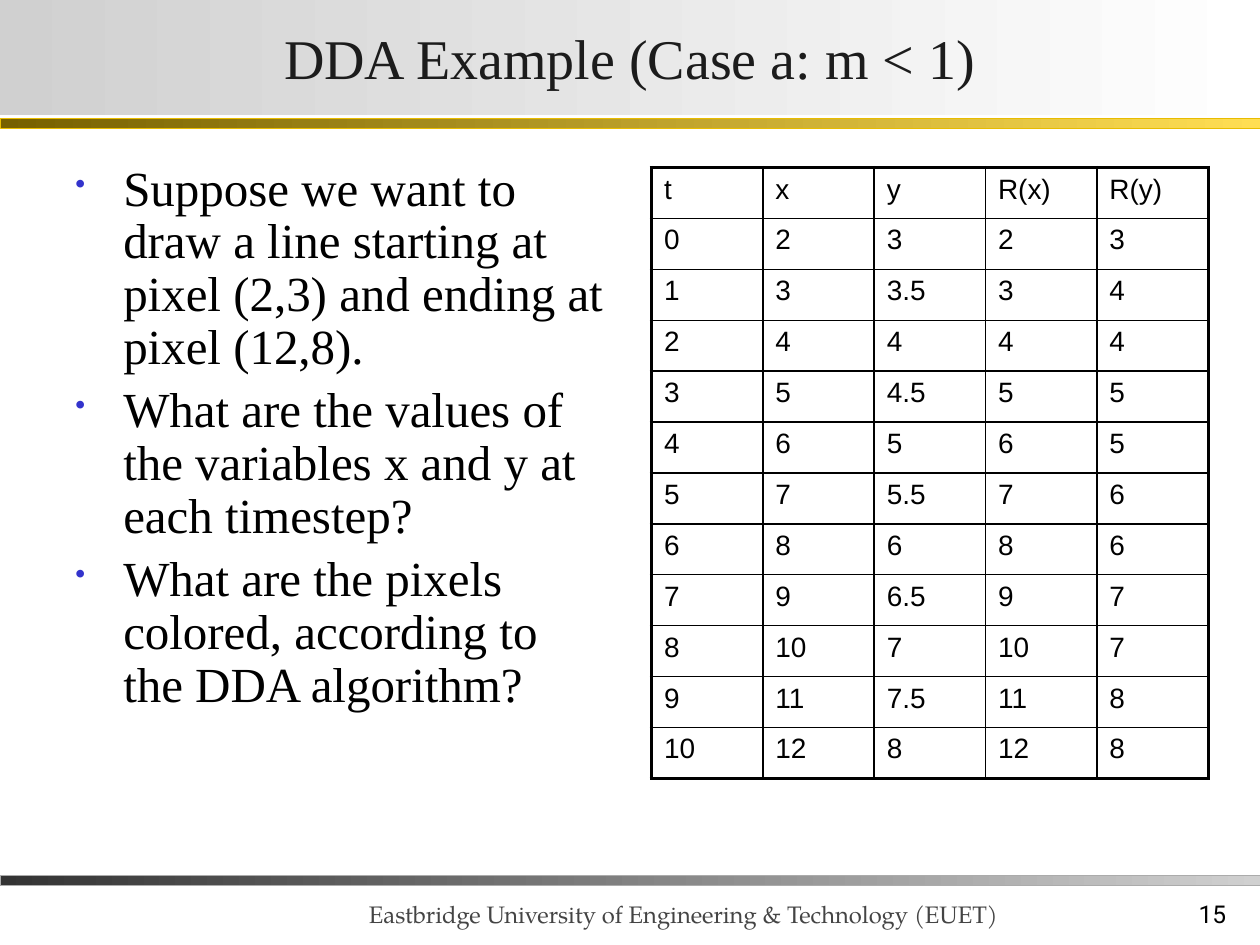
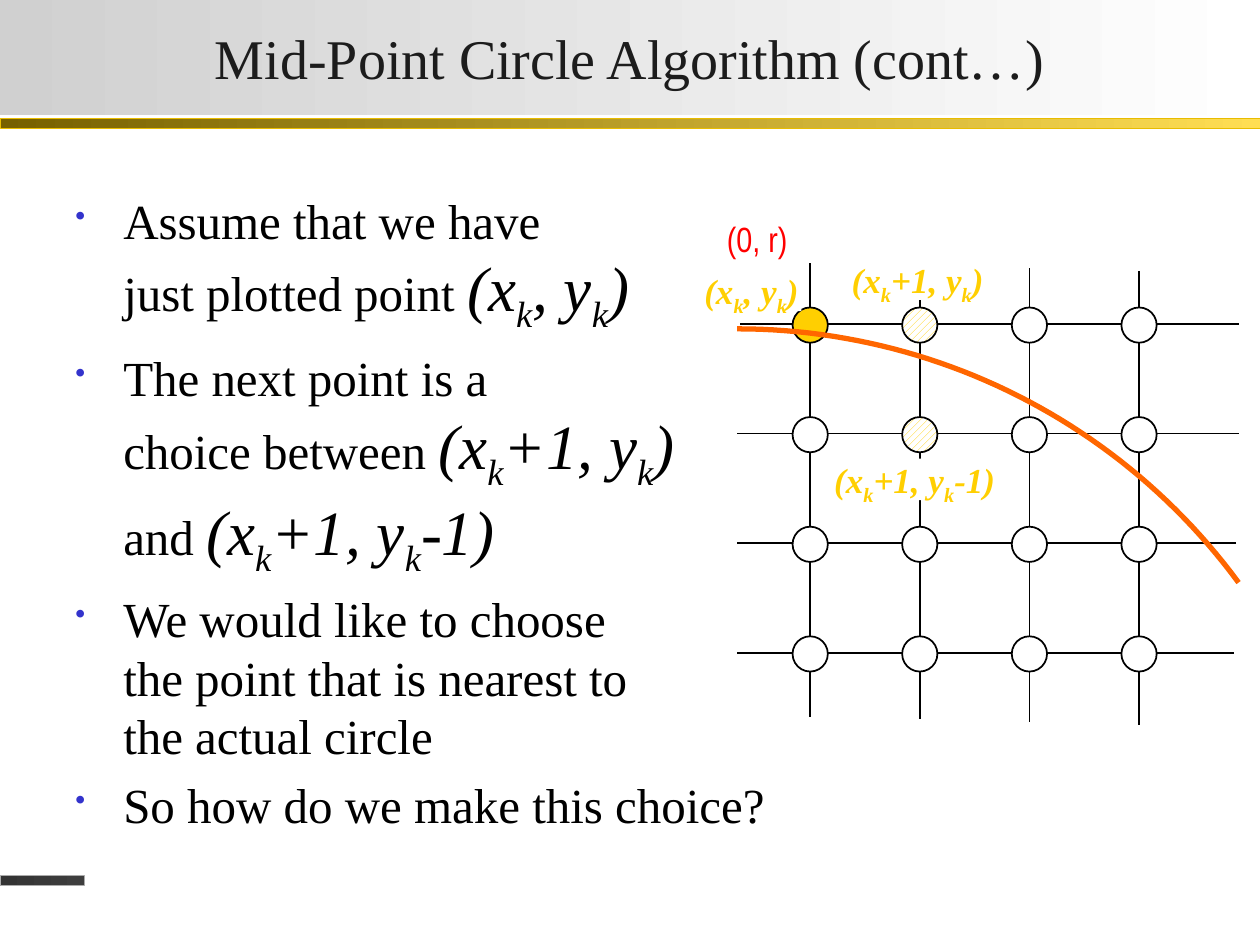
import math

import pptx
import pptx.dml.color
import pptx.enum.dml
import pptx.enum.shapes
import pptx.enum.text
import pptx.oxml.ns
import pptx.util
from lxml import etree

Inches = pptx.util.Inches
Pt = pptx.util.Pt
SHAPE = pptx.enum.shapes.MSO_SHAPE
ANCHOR = pptx.enum.text.MSO_ANCHOR
ALIGN = pptx.enum.text.PP_ALIGN

COLORS = {
    "black": "000000", "white": "FFFFFF", "title": "1C1C1C", "footer": "444444",
    "bullet": "3333CC", "gold": "FFCF01", "orange": "FF6600", "red": "FF0000",
    "silver": "D0D0D0", "charcoal": "333333", "charcoal_end": "3E3E3E", "gray_edge": "ABABAB",
    "bronze": "766000", "yellow": "FFDE53", "gold_edge": "E8BC00",
}
SERIF = "Times New Roman"

DDA_TITLE = "DDA Example (Case a: m < 1)"
DDA_POINTS = [
    ["Suppose we want to draw a line starting at pixel (2,3) and ending at pixel (12,8)."],
    ["What are the values of the variables x and y at each timestep?"],
    ["What are the pixels colored, according to the DDA algorithm?"],
]
DDA_STEPS = [
    ("t", "x", "y", "R(x)", "R(y)"),
    ("0", "2", "3", "2", "3"),
    ("1", "3", "3.5", "3", "4"),
    ("2", "4", "4", "4", "4"),
    ("3", "5", "4.5", "5", "5"),
    ("4", "6", "5", "6", "5"),
    ("5", "7", "5.5", "7", "6"),
    ("6", "8", "6", "8", "6"),
    ("7", "9", "6.5", "9", "7"),
    ("8", "10", "7", "10", "7"),
    ("9", "11", "7.5", "11", "8"),
    ("10", "12", "8", "12", "8"),
]
UNIVERSITY = "Eastbridge University of Engineering & Technology (EUET)"
PAGE = "15"

CIRCLE_TITLE = "Mid-Point Circle Algorithm (cont…)"
CIRCLE_POINTS = [
    ["Assume that we have", "just plotted point $(x_k, y_k)$"],
    ["The next point is a", "choice between $(x_k+1, y_k)$", "and $(x_k+1, y_k-1)$"],
    ["We would like to choose", "the point that is nearest to", "the actual circle"],
    ["So how do we make this choice?"],
]
PIXEL_LABELS = [
    ("(x_k+1, y_k)", 6.76, 2.05, 1.06),
    ("(x_k+1, y_k-1)", 6.62, 3.64, 1.29),
    ("(x_k, y_k)", 5.59, 2.14, 0.77),
]
PLOTTED = (0, 0)
CANDIDATES = [(1, 0), (1, 1)]
GRID = {"left": 6.43, "top": 2.57, "step": 0.87, "count": 4, "pixel": 0.28}
VIEW_LEFT, VIEW_RIGHT = 5.85, 9.83
ARC = {"x": 5.85, "y": 7.55, "radius": 4.94, "steps": 48}


def rgb(name):
    return pptx.dml.color.RGBColor.from_string(COLORS[name])


def box(area):
    return [Inches(length) for length in area]


def add_xml(parent, tag, **attributes):
    return etree.SubElement(parent, pptx.oxml.ns.qn("a:" + tag), attributes)


def style(run, size, color, font=SERIF, bold=False, italic=False):
    run.font.size, run.font.name = Pt(size), font
    run.font.bold, run.font.italic = bold, italic
    run.font.color.rgb = rgb(color)


def add_shape(slide, kind, area, fill=None, edge=None, weight=1):
    shape = slide.shapes.add_shape(kind, *box(area))
    shape.shadow.inherit = False
    if fill:
        shape.fill.solid()
        shape.fill.fore_color.rgb = rgb(fill)
    outline(shape, edge, weight)
    return shape


def outline(shape, edge, weight):
    if edge:
        shape.line.color.rgb = rgb(edge)
        shape.line.width = Pt(weight)
    else:
        shape.line.fill.background()


def add_band(slide, area, start, end, edge=None):
    band = add_shape(slide, SHAPE.RECTANGLE, area, edge=edge, weight=0.25)
    band.fill.gradient()
    band.fill.gradient_angle = 0
    for stop, color in zip(band.fill.gradient_stops, (start, end)):
        stop.color.rgb = rgb(color)
    return band


def add_text(slide, area, words, size, color, font, align=ALIGN.LEFT, anchor=ANCHOR.TOP):
    frame = slide.shapes.add_textbox(*box(area)).text_frame
    frame.word_wrap = True
    frame.vertical_anchor = anchor
    frame.text = words
    frame.paragraphs[0].alignment = align
    style(frame.paragraphs[0].runs[0], size, color, font)


def add_run(paragraph, words, *look, subscript=False, **options):
    run = paragraph.add_run()
    run.text = words
    style(run, *look, **options)
    if subscript:
        run._r.get_or_add_rPr().set("baseline", "-25000")


def add_math(paragraph, formula, size, color, bold=False):
    for index, part in enumerate(formula.split("_k")):
        if index:
            add_run(paragraph, "k", size, color, subscript=True, bold=bold, italic=True)
        add_run(paragraph, part, size, color, bold=bold, italic=True)


def space_before(paragraph):
    properties = paragraph._p.get_or_add_pPr()
    add_xml(add_xml(properties, "spcBef"), "spcPct", val="20000")
    return properties


def add_bullets(slide, area, points, spacing=None):
    frame = slide.shapes.add_textbox(*box(area)).text_frame
    frame.word_wrap = True
    for index, lines in enumerate(points):
        paragraph = frame.add_paragraph() if index else frame.paragraphs[0]
        if spacing:
            paragraph.line_spacing = spacing
        properties = space_before(paragraph)
        properties.set("marL", str(Inches(0.38)))
        properties.set("indent", str(-Inches(0.38)))
        add_xml(add_xml(properties, "buClr"), "srgbClr", val=COLORS["bullet"])
        add_xml(properties, "buSzPct", val="60000")
        add_xml(properties, "buChar", char="•")
        for number, line in enumerate(lines):
            if number:
                paragraph.add_line_break()
            for position, part in enumerate(line.split("$")):
                if position % 2:
                    add_math(paragraph, part, 36, "black")
                elif part:
                    add_run(paragraph, part, 28, "black")


def add_frame(deck, title, footer_width, footer_end):
    slide = deck.slides.add_slide(deck.slide_layouts[6])
    add_band(slide, (0, 6.95, footer_width, 0.08), "charcoal", footer_end, "gray_edge")
    add_band(slide, (0, 0.94, 10, 0.08), "bronze", "yellow", "gold_edge")
    frame = add_band(slide, (0, 0, 10, 0.91), "silver", "white").text_frame
    frame.margin_left = frame.margin_right = Inches(0.02)
    frame.margin_top = frame.margin_bottom = Inches(0.01)
    frame.vertical_anchor = ANCHOR.MIDDLE
    frame.text = title
    frame.paragraphs[0].alignment = ALIGN.CENTER
    style(frame.paragraphs[0].runs[0], 32, "title")
    return slide


def set_borders(cell, heavy_sides):
    properties = cell._tc.get_or_add_tcPr()
    for side in "LRTB":
        width = Pt(2.25 if side in heavy_sides else 1)
        border = add_xml(properties, "ln" + side, w=str(width))
        add_xml(add_xml(border, "solidFill"), "srgbClr", val=COLORS["black"])


def add_steps_table(slide):
    last_row, last_column = len(DDA_STEPS) - 1, len(DDA_STEPS[0]) - 1
    area = box((5.17, 1.33, 4.42, 4.85))
    table = slide.shapes.add_table(last_row + 1, last_column + 1, *area).table
    table.first_row = table.horz_banding = False
    for r, step in enumerate(DDA_STEPS):
        for c, value in enumerate(step):
            cell = table.cell(r, c)
            cell.text = value
            paragraph = cell.text_frame.paragraphs[0]
            space_before(paragraph)
            style(paragraph.runs[0], 16, "black", "Arial")
            edges = {"L": c == 0, "R": c == last_column, "T": r == 0, "B": r == last_row}
            set_borders(cell, [side for side, outer in edges.items() if outer])
            cell.fill.background()


def add_grid_line(slide, *ends):
    line = slide.shapes.add_connector(pptx.enum.shapes.MSO_CONNECTOR.STRAIGHT, *box(ends))
    outline(line, "black", 1)
    add_xml(line._element.spPr, "effectLst")


def add_pixel_grid(slide):
    offsets = [GRID["step"] * i for i in range(GRID["count"])]
    columns = [GRID["left"] + offset for offset in offsets]
    rows = [GRID["top"] + offset for offset in offsets]
    for i, (x, y) in enumerate(zip(columns, rows)):
        top, right = 2.09 + 0.02 * i, 9.85 - 0.02 * i
        add_grid_line(slide, x, top, x, top + 3.6)
        add_grid_line(slide, min(right, VIEW_RIGHT), y, max(right - 3.98, VIEW_LEFT), y)
    size = GRID["pixel"]
    for r, y in enumerate(rows):
        for c, x in enumerate(columns):
            area = (x - size / 2, y + 0.01 - size / 2, size, size)
            fill = "gold" if (c, r) == PLOTTED else "white"
            pixel = add_shape(slide, SHAPE.OVAL, area, fill, "black")
            if (c, r) in CANDIDATES:
                pixel.fill.patterned()
                pixel.fill.pattern = pptx.enum.dml.MSO_PATTERN.WIDE_UPWARD_DIAGONAL
                pixel.fill.fore_color.rgb = rgb("gold")
                pixel.fill.back_color.rgb = rgb("white")


def add_arc(slide):
    sweep = math.asin((VIEW_RIGHT - ARC["x"]) / ARC["radius"])
    angles = [sweep * i / ARC["steps"] for i in range(ARC["steps"] + 1)]
    points = [(Inches(ARC["x"] + ARC["radius"] * math.sin(angle)),
               Inches(ARC["y"] - ARC["radius"] * math.cos(angle))) for angle in angles]
    builder = slide.shapes.build_freeform(*points[0])
    builder.add_line_segments(points[1:], close=False)
    arc = builder.convert_to_shape()
    arc.shadow.inherit = False
    arc.fill.background()
    outline(arc, "orange", 3)


def add_pixel_label(slide, formula, left, top, width):
    label = add_shape(slide, SHAPE.RECTANGLE, (left, top, width, 0.33), "white")
    frame = label.text_frame
    frame.margin_left = frame.margin_right = frame.margin_top = frame.margin_bottom = 0
    frame.word_wrap = False
    frame.vertical_anchor = ANCHOR.TOP
    frame.paragraphs[0].alignment = ALIGN.LEFT
    add_math(frame.paragraphs[0], formula, 20, "gold", bold=True)


def main():
    deck = pptx.Presentation()
    deck.slide_width, deck.slide_height = Inches(10), Inches(7.5)

    dda = add_frame(deck, DDA_TITLE, 10, "silver")
    add_text(dda, (7.75, 6.92, 2.08, 0.5), PAGE, 14, "black", "Roboto",
             ALIGN.RIGHT, ANCHOR.BOTTOM)
    add_text(dda, (2.83, 6.8, 5.42, 0.62), UNIVERSITY, 13.6, "footer", "TeX Gyre Pagella",
             anchor=ANCHOR.BOTTOM)
    add_bullets(dda, (0.5, 1.25, 4.42, 4.5), DDA_POINTS, spacing=0.9)
    add_steps_table(dda)

    circle = add_frame(deck, CIRCLE_TITLE, 0.67, "charcoal_end")
    add_pixel_grid(circle)
    add_arc(circle)
    for label in PIXEL_LABELS:
        add_pixel_label(circle, *label)
    add_bullets(circle, (0.5, 1.46, 9.02, 6.04), CIRCLE_POINTS)
    add_text(circle, (5.67, 1.68, 0.75, 0.44), "(0, r)", 20, "red", "Arial Narrow")

    deck.save("out.pptx")


if __name__ == "__main__":
    main()
